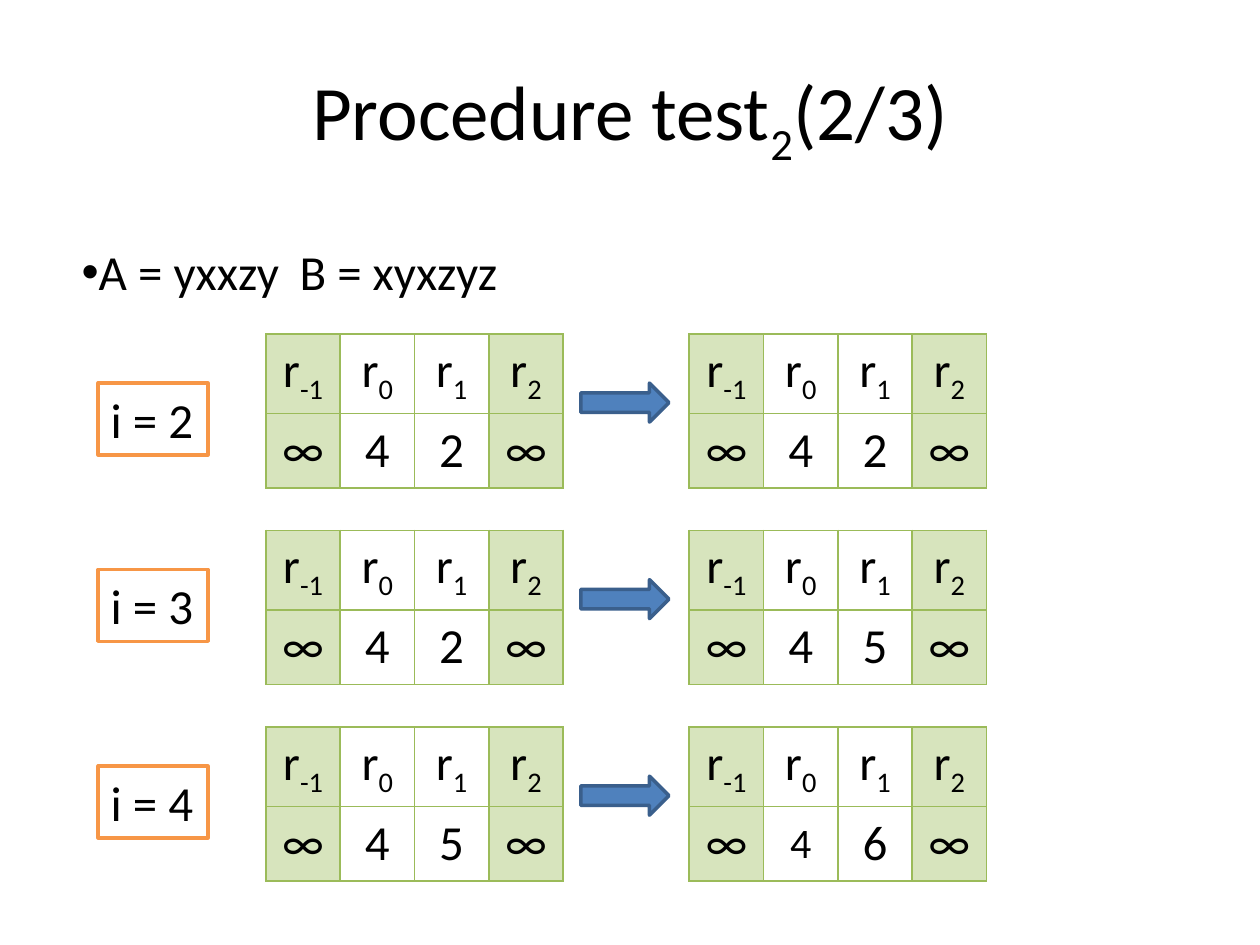
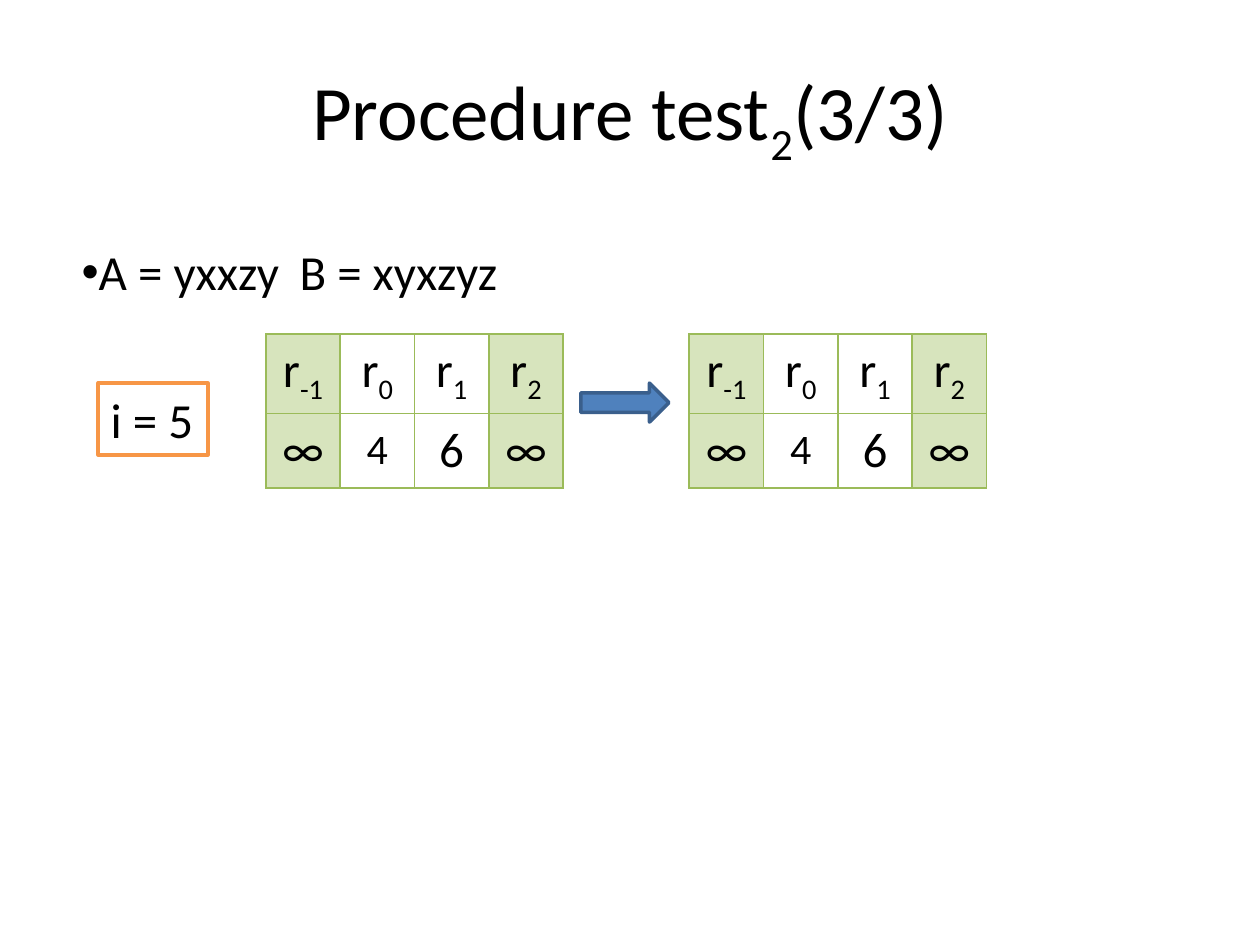
from lxml.etree import SubElement
from pptx import Presentation
from pptx.dml.color import RGBColor
from pptx.enum.shapes import MSO_SHAPE as Shape
from pptx.enum.text import MSO_ANCHOR as Anchor, MSO_AUTO_SIZE as AutoSize, PP_ALIGN as Align
from pptx.oxml.ns import qn
from pptx.util import Inches, Pt

FONT = "Calibri"
BLACK, WHITE = "000000", "FFFFFF"
GREEN, PALE_GREEN = "9BBB59", "D7E4BD"
BLUE, DARK_BLUE, ORANGE = "4F81BD", "3A5F8C", "F79646"

FIRST_TOP, STEP_PITCH = 2.65, 1.56
BEFORE_LEFT, AFTER_LEFT = 2.11, 5.47
CELL = 0.59
HEADERS = [("r", "-1"), ("r", "0"), ("r", "1"), ("r", "2")]

# Each step: i, top of its label, then r0 and r1 before and after
SLIDES = [
    ("(2/3)", [
        (2, 3.04, ("4", "2"), ("4", "2")),
        (3, 4.52, ("4", "2"), ("4", "5")),
        (4, 6.08, ("4", "5"), ("4", "6")),
    ]),
    ("(3/3)", [
        (5, 3.04, ("4", "6"), ("4", "6")),
    ]),
]


def color(hex_code):
    return RGBColor.from_string(hex_code)


def write_runs(paragraph, texts, size):
    """Write texts as runs; every second one is a subscript."""
    for index, text in enumerate(texts):
        run = paragraph.add_run()
        run.text = text
        run.font.name = FONT
        run.font.size = Pt(size)
        run.font.color.rgb = color(BLACK)
        if index % 2:
            run.font._element.set("baseline", "-25000")


presentation = Presentation()
presentation.slide_width = Inches(10)
presentation.slide_height = Inches(7.5)

for part, steps in SLIDES:
    slide = presentation.slides.add_slide(presentation.slide_layouts[6])

    title = slide.shapes.add_textbox(Inches(0.5), Inches(0.3), Inches(9), Inches(1.25))
    title.text_frame.word_wrap = True
    title.text_frame.vertical_anchor = Anchor.MIDDLE
    paragraph = title.text_frame.paragraphs[0]
    paragraph.alignment = Align.CENTER
    write_runs(paragraph, ["Procedure test", "2", part], 44)

    strings = slide.shapes.add_textbox(Inches(0.55), Inches(1.87), Inches(3.64), Inches(0.57))
    strings.text_frame.word_wrap = True
    paragraph = strings.text_frame.paragraphs[0]
    properties = paragraph._p.get_or_add_pPr()
    SubElement(properties, qn("a:buFont"), typeface="Arial")
    SubElement(properties, qn("a:buChar"), char="•")
    tabs = SubElement(properties, qn("a:tabLst"))
    SubElement(tabs, qn("a:tab"), pos=str(Inches(1.73)), algn="l")
    write_runs(paragraph, ["A = yxxzy\tB = xyxzyz"], 28)

    for number, (i, label_top, before, after) in enumerate(steps):
        top = FIRST_TOP + number * STEP_PITCH

        label = slide.shapes.add_shape(
            Shape.RECTANGLE, Inches(0.78), Inches(label_top), Inches(0.87), Inches(0.57))
        arrow = slide.shapes.add_shape(
            Shape.RIGHT_ARROW, Inches(4.61), Inches(top + 0.39), Inches(0.7), Inches(0.31))
        for shape, fill, line in [(label, WHITE, ORANGE), (arrow, BLUE, DARK_BLUE)]:
            shape.shadow.inherit = False
            shape.fill.solid()
            shape.fill.fore_color.rgb = color(fill)
            shape.line.color.rgb = color(line)
            shape.line.width = Pt(2)
        label.text_frame.word_wrap = False
        label.text_frame.auto_size = AutoSize.SHAPE_TO_FIT_TEXT
        label.text_frame.vertical_anchor = Anchor.TOP
        paragraph = label.text_frame.paragraphs[0]
        paragraph.alignment = Align.LEFT
        write_runs(paragraph, [f"i = {i}"], 28)

        for left, (r0, r1) in [(BEFORE_LEFT, before), (AFTER_LEFT, after)]:
            table = slide.shapes.add_table(
                2, 4, Inches(left), Inches(top), Inches(4 * CELL), Inches(2 * CELL)).table
            table.first_row = False
            table.horz_banding = False
            for line in [*table.columns]:
                line.width = Inches(CELL)
            for line in [*table.rows]:
                line.height = Inches(CELL)

            values = [("∞",), (r0,), (r1,), ("∞",)]
            for row, contents in enumerate([HEADERS, values]):
                for column, texts in enumerate(contents):
                    cell = table.cell(row, column)
                    cell.vertical_anchor = Anchor.MIDDLE
                    paragraph = cell.text_frame.paragraphs[0]
                    paragraph.alignment = Align.CENTER
                    # The 4 beside a 6 is set smaller
                    small = texts == ("4",) and r1 == "6"
                    write_runs(paragraph, texts, 24 if small else 28)

                    cell_properties = cell._tc.get_or_add_tcPr()
                    for side in ["lnL", "lnR", "lnT", "lnB"]:
                        border = SubElement(cell_properties, qn(f"a:{side}"), w=str(Pt(1)))
                        border_fill = SubElement(border, qn("a:solidFill"))
                        SubElement(border_fill, qn("a:srgbClr"), val=GREEN)
                    if column in (0, 3):
                        cell.fill.solid()
                        cell.fill.fore_color.rgb = color(PALE_GREEN)
                    else:
                        cell.fill.background()

presentation.save("out.pptx")
